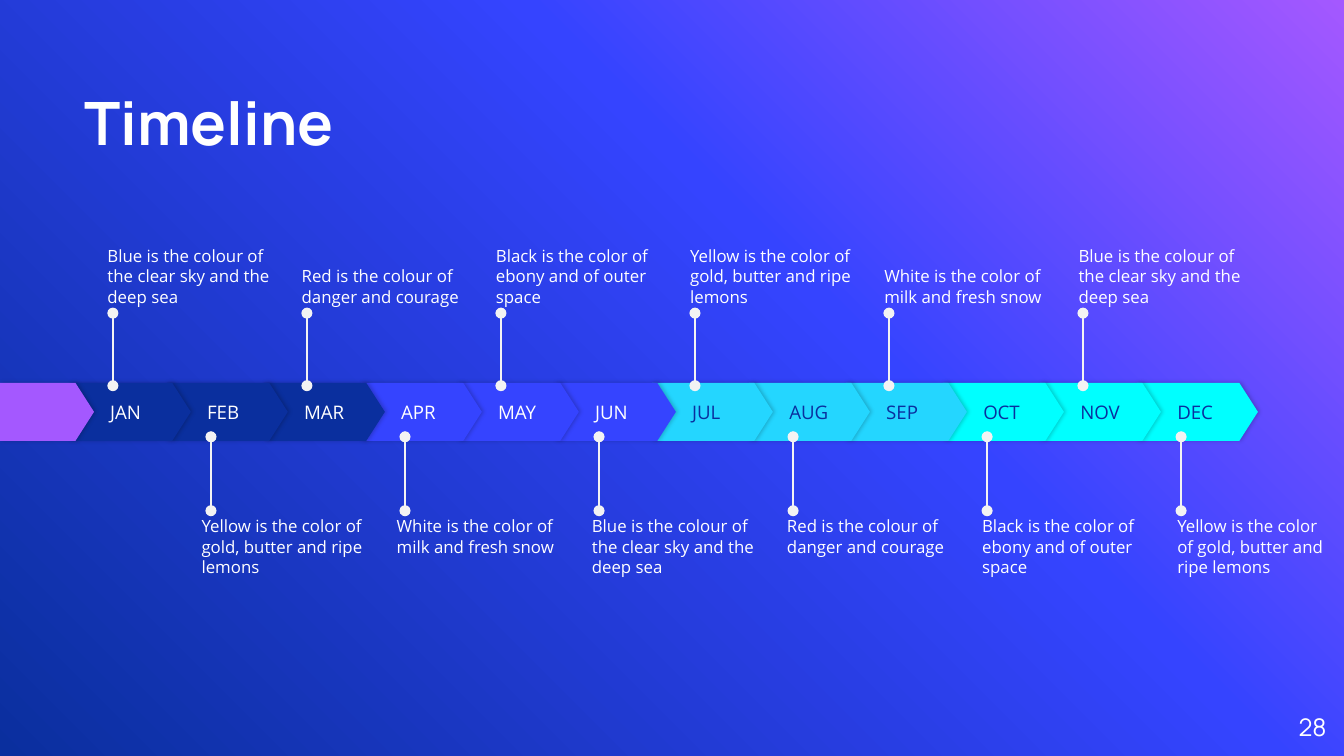
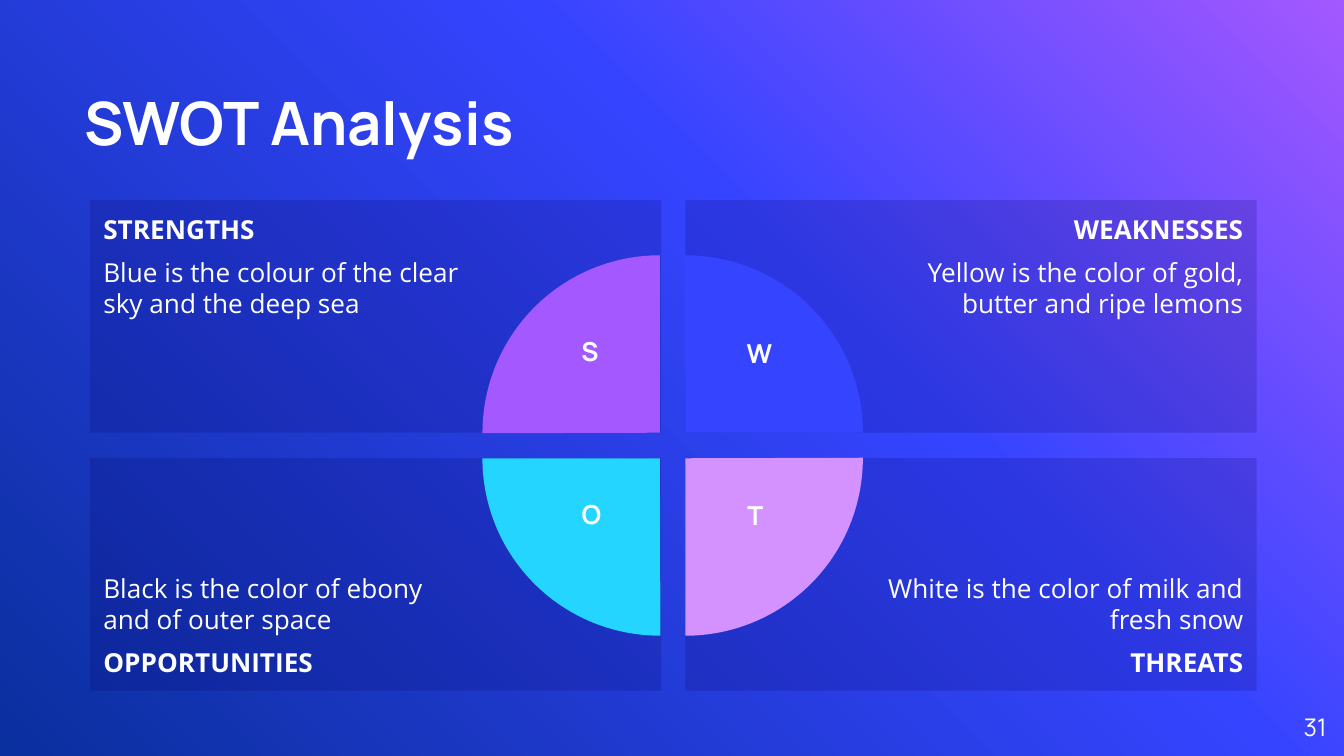
import pptx
import pptx.dml.color
import pptx.enum.dml
import pptx.enum.shapes
import pptx.enum.text
import pptx.oxml
import pptx.oxml.ns
import pptx.util
from lxml import etree

SHAPE = pptx.enum.shapes.MSO_SHAPE
ANCHOR = pptx.enum.text.MSO_ANCHOR
ALIGN = pptx.enum.text.PP_ALIGN
Inches = pptx.util.Inches
qn = pptx.oxml.ns.qn

COLORS = {
    "white": "FFFFFF", "pin": "F3F3F3", "black": "000000", "panel": "050060",
    "navy": "0A2F9E", "blue": "3544FF", "sky": "24D6FF", "cyan": "00FFFF",
    "purple": "A458FF", "pink": "D392FF",
}
BACKDROP = [(0, "purple"), (39, "blue"), (100, "navy")]
HEAD, BODY = "Manrope", "Open Sans"

# Timeline: months, quarter colours (fill, text) and notes
MONTHS = "JAN FEB MAR APR MAY JUN JUL AUG SEP OCT NOV DEC".split()
QUARTERS = [("navy", "white"), ("blue", "white"), ("sky", "navy"), ("cyan", "navy")]
BAND_LEFT, BAND_RIGHT, BAND_TOP, BAND_HEIGHT = 0.52, 9.36, 2.85, 0.43
MONTH_WIDTH = 0.9
MONTH_STEP = (BAND_RIGHT - MONTH_WIDTH - BAND_LEFT) / (len(MONTHS) - 1)
NOTE_WIDTH, NOTE_HEIGHT, NOTE_LIMIT = 1.37, 0.58, 9.89

BLUE = "Blue is the colour of the clear sky and the deep sea"
RED = "Red is the colour of danger and courage"
BLACK = "Black is the color of ebony and of outer space"
YELLOW = "Yellow is the color of gold, butter and ripe lemons"
WHITE = "White is the color of milk and fresh snow"
NOTES_ABOVE = [BLUE, RED, BLACK, YELLOW, WHITE, BLUE]
NOTES_BELOW = [YELLOW, WHITE, BLUE, RED, BLACK, YELLOW]

# SWOT: heading, text, colour, column, row, turn, letter centre and top
QUADRANTS = [
    ("STRENGTHS", BLUE, "purple", 0, 0, 0, 4.39, 2.45),
    ("WEAKNESSES", YELLOW, "blue", 1, 0, 90, 5.65, 2.46),
    ("THREATS", WHITE, "pink", 1, 1, 180, 5.62, 3.67),
    ("OPPORTUNITIES", BLACK, "sky", 0, 1, 270, 4.4, 3.66),
]


def rgb(name):
    return pptx.dml.color.RGBColor.from_string(COLORS[name])


def sub(parent, tag, **attrs):
    return etree.SubElement(parent, qn(tag), {k: str(v) for k, v in attrs.items()})


def set_backdrop(master):
    """Give every slide the same diagonal gradient."""
    fill = master.background.fill
    fill.gradient()
    fill.gradient_angle = 225
    stops = master.element.find(".//" + qn("a:gsLst"))
    for stop in list(stops):
        stops.remove(stop)
    for percent, name in BACKDROP:
        gs = sub(stops, "a:gs", pos=percent * 1000)
        sub(gs, "a:srgbClr", val=COLORS[name])


def set_frame(sp, anchor=ANCHOR.TOP, insets=(0, 0, 0, 0)):
    tf = sp.text_frame
    tf.word_wrap = True
    tf.vertical_anchor = anchor
    (tf.margin_left, tf.margin_top,
     tf.margin_right, tf.margin_bottom) = map(Inches, insets)
    return tf


def style(p, text, size, font, color="white", bold=False, align=ALIGN.LEFT):
    p.text = text
    p.alignment = align
    p.font.size = pptx.util.Pt(size)
    p.font.name = font
    p.font.bold = bold
    p.font.color.rgb = rgb(color)


def add_text(slide, box, text, size, font, anchor=ANCHOR.TOP,
             insets=(0, 0, 0, 0), **look):
    sp = slide.shapes.add_textbox(*map(Inches, box))
    style(set_frame(sp, anchor, insets).paragraphs[0], text, size, font, **look)


def add_block(slide, kind, box, color):
    sp = slide.shapes.add_shape(kind, *map(Inches, box))
    sp.fill.solid()
    sp.fill.fore_color.rgb = rgb(color)
    sp.line.fill.background()
    sp.shadow.inherit = False
    return sp


def add_chevron(slide, left, width, color):
    """Band segment with a soft shadow on its right."""
    sp = add_block(slide, SHAPE.PENTAGON, (left, BAND_TOP, width, BAND_HEIGHT), color)
    sp.adjustments[0] = 0.32
    effects = sp.element.spPr.find(qn("a:effectLst"))
    shadow = sub(effects, "a:outerShdw", blurRad=pptx.util.Pt(2.2),
                 dist=pptx.util.Pt(0.8), dir=0, algn="l", rotWithShape=0)
    sub(sub(shadow, "a:srgbClr", val=COLORS["black"]), "a:alpha", val=20000)
    return sp


def add_pin(slide, x, start, end):
    line = slide.shapes.add_connector(
        pptx.enum.shapes.MSO_CONNECTOR.STRAIGHT, *map(Inches, (x, start, x, end)))
    line.line.color.rgb = rgb("pin")
    line.line.width = pptx.util.Pt(0.75)
    spPr = line.element.spPr
    for end_tag in ("a:headEnd", "a:tailEnd"):
        sub(spPr.find(qn("a:ln")), end_tag, type="oval")
    sub(spPr, "a:effectLst")


def add_notes(slide, notes, pin_left, pin_start, pin_end, left, step, top, anchor):
    """One row of notes, a pin for every second month."""
    for i, note in enumerate(notes):
        add_pin(slide, pin_left + i * 2 * MONTH_STEP, pin_start, pin_end)
        x = left + i * step
        width = min(NOTE_WIDTH, NOTE_LIMIT - x)
        add_text(slide, (x, top, width, NOTE_HEIGHT), note, 9, BODY, anchor=anchor)


def add_panel(slide, heading, text, col, row):
    box = (0.67 + 4.43 * col, 1.49 + 1.92 * row, 4.25, 1.73)
    sp = add_block(slide, SHAPE.RECTANGLE, box, "panel")
    sub(sp.element.spPr.find(".//" + qn("a:srgbClr")), "a:alpha", val=18000)
    insets = (1.5, 0.1, 0.1, 0.1) if col else (0.1, 0.1, 1.5, 0.1)
    tf = set_frame(sp, ANCHOR.BOTTOM if row else ANCHOR.TOP, insets)
    lines = [(heading, True), (text, False)]
    if row:
        lines.reverse()  # lower panels have the heading last
    first, second = tf.paragraphs[0], tf.add_paragraph()
    for p, (words, bold) in zip((first, second), lines):
        style(p, words, 14, BODY, bold=bold, align=ALIGN.RIGHT if col else ALIGN.LEFT)
    second.space_before = second.space_after = pptx.util.Pt(6)


def add_pie(slide, color, col, row, turn):
    box = (3.59 + 0.19 * col, 1.9 + 0.19 * row, 2.64, 2.64)
    sp = add_block(slide, SHAPE.PIE, box, color)
    sp.adjustments[0], sp.adjustments[1] = 107.89, 162
    sp.rotation = turn


def new_slide(prs, title, number):
    slide = prs.slides.add_slide(prs.slide_layouts[6])
    add_text(slide, (0.63, 0.23, 6.58, 0.94), title, 32, HEAD,
             anchor=ANCHOR.BOTTOM, bold=True)
    add_text(slide, (9.27, 5.19, 0.6, 0.43), number, 13, HEAD,
             anchor=ANCHOR.MIDDLE, align=ALIGN.RIGHT)
    return slide


def build_timeline(prs):
    slide = new_slide(prs, "Timeline", "28")
    # Band, from the last month back so that each tip overlaps the next
    for i, month in reversed(list(enumerate(MONTHS))):
        fill, ink = QUARTERS[i // 3]
        sp = add_chevron(slide, BAND_LEFT + i * MONTH_STEP, MONTH_WIDTH, fill)
        tf = set_frame(sp, ANCHOR.MIDDLE, (0.3, 0, 0, 0))
        style(tf.paragraphs[0], month, 10, BODY, color=ink)
    add_chevron(slide, 0, 0.7, "purple")
    # Notes above and below the band, just clear of the pin dots
    add_notes(slide, NOTES_ABOVE, 0.84, 2.87, 2.33, 0.8, 1.445, 1.7, ANCHOR.BOTTOM)
    add_notes(slide, NOTES_BELOW, 1.57, 3.8, 3.25, 1.5, 1.452, 3.84, ANCHOR.TOP)


def build_swot(prs):
    slide = new_slide(prs, "SWOT Analysis", "31")
    for heading, text, _, col, row, *_ in QUADRANTS:
        add_panel(slide, heading, text, col, row)
    for _, _, color, col, row, turn, *_ in QUADRANTS:
        add_pie(slide, color, col, row, turn)
    for heading, *_, center, top in QUADRANTS:
        add_text(slide, (center - 0.25, top, 0.5, 0.5), heading[0], 14, HEAD,
                 insets=(0, 0.05, 0, 0.05), bold=True, align=ALIGN.CENTER)


def main():
    prs = pptx.Presentation()
    prs.slide_width, prs.slide_height = Inches(10), Inches(5.625)
    set_backdrop(prs.slide_master)
    build_timeline(prs)
    build_swot(prs)
    prs.save("out.pptx")


if __name__ == "__main__":
    main()
